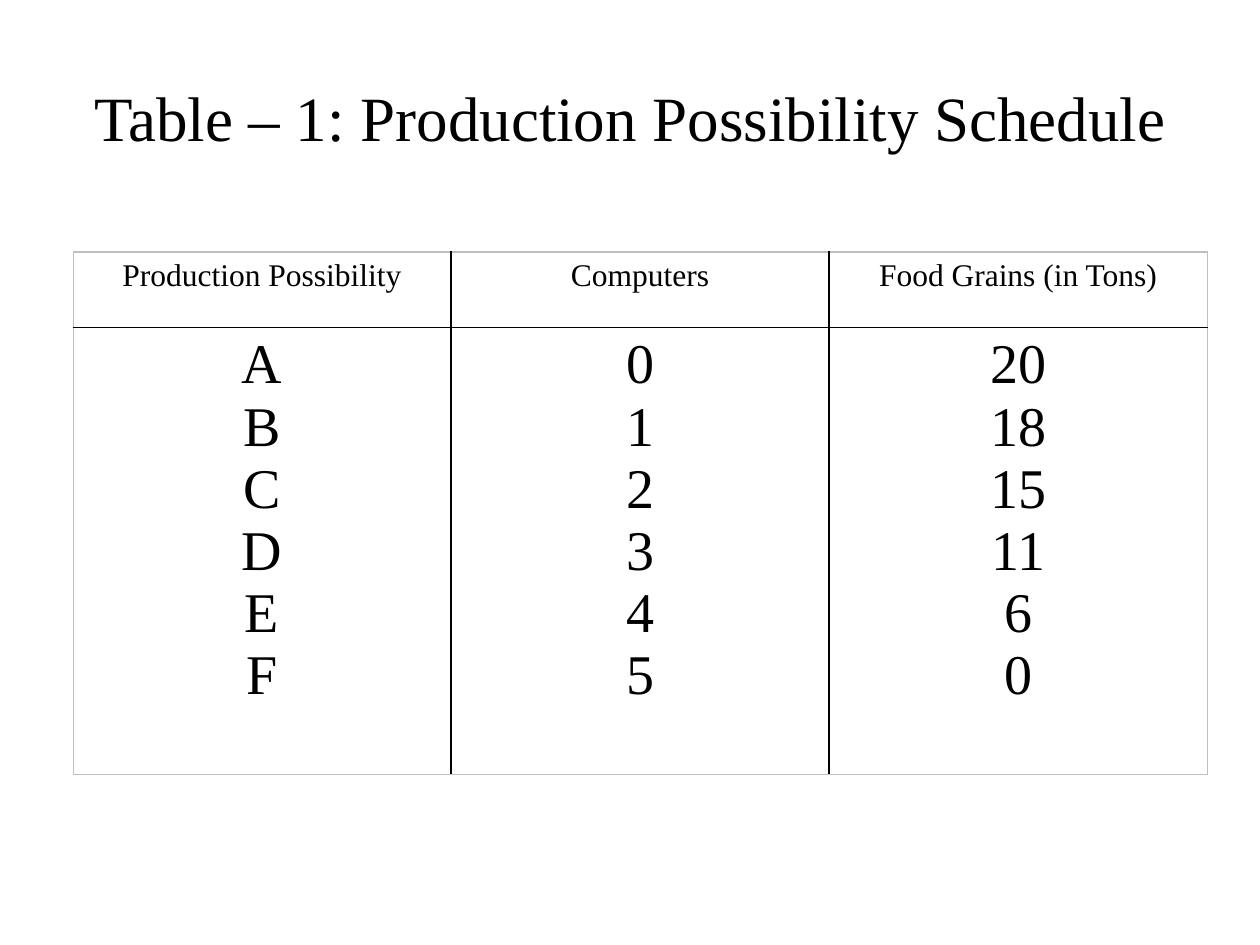
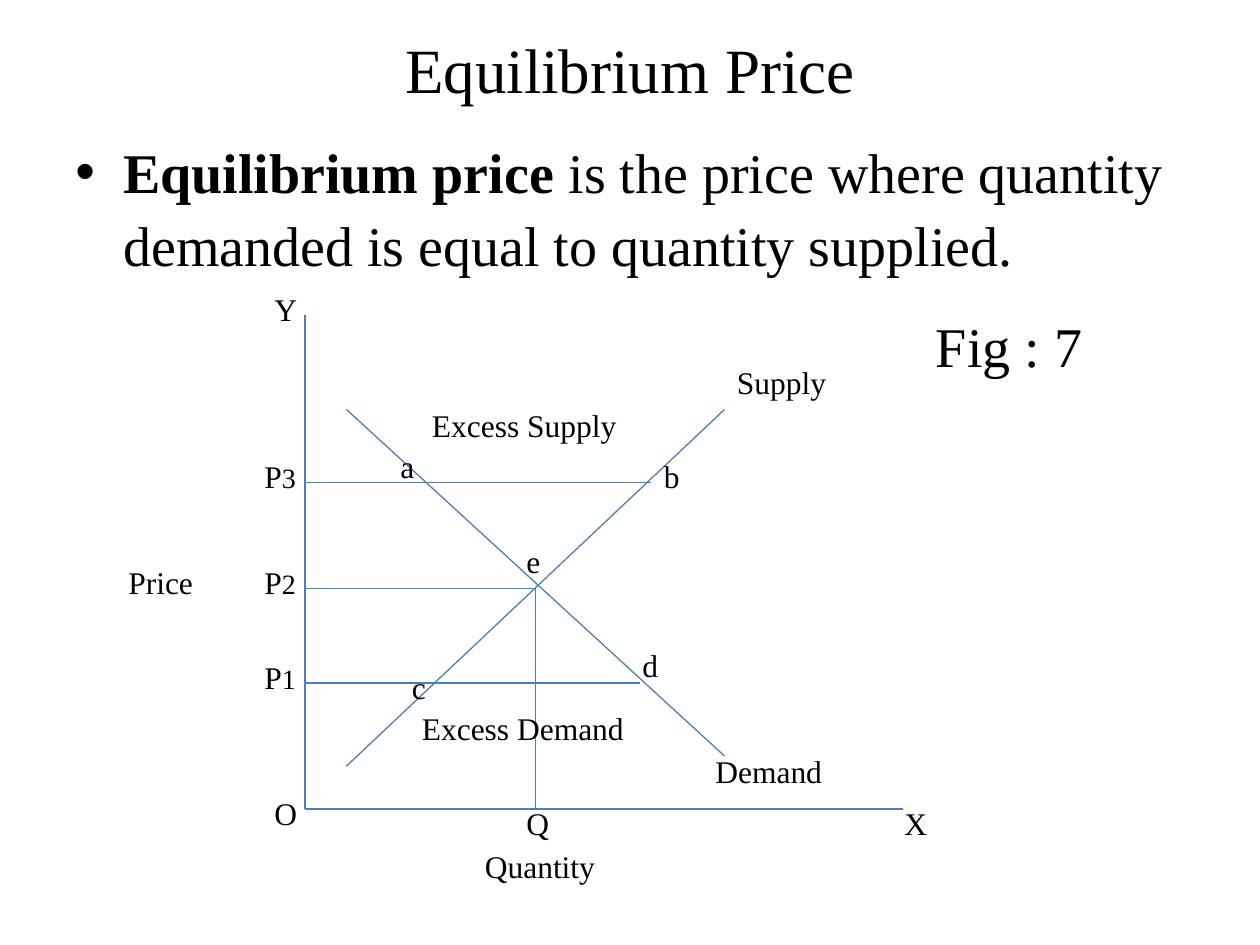
"""Build two economics slides: a production schedule and an equilibrium price diagram."""
import dataclasses
import pptx
import pptx.dml.color
import pptx.enum.text
import pptx.oxml.ns
import pptx.slide
import pptx.table
import pptx.text.text
import pptx.util
from lxml import etree
from pptx.enum.shapes import MSO_CONNECTOR

COLORS = {"ink": "000000", "line": "4B7EBC", "edge": "BFBFBF"}
FONT = "Times New Roman"
CENTER = pptx.enum.text.PP_ALIGN.CENTER
Inches = pptx.util.Inches


@dataclasses.dataclass
class Label:
    text: str
    left: float
    top: float
    width: float = 0.33
    sub: str = ""
    size: int = 18
    height: float = 0.4


@dataclasses.dataclass
class Line:
    x1: float
    y1: float
    x2: float
    y2: float


def style(run: pptx.text.text._Run, size: float, bold: bool = False) -> None:
    run.font.name = FONT
    run.font.size = pptx.util.Pt(size)
    run.font.bold = bold
    run.font.color.rgb = pptx.dml.color.RGBColor.from_string(COLORS["ink"])


def add_slide(deck, title: str, top: float, height: float) -> pptx.slide.Slide:
    slide = deck.slides.add_slide(deck.slide_layouts[5])
    head = slide.shapes.title
    head.left, head.top = Inches(0.5), Inches(top)
    head.width, head.height = Inches(9), Inches(height)
    frame = head.text_frame
    frame.text = title
    frame.vertical_anchor = pptx.enum.text.MSO_ANCHOR.MIDDLE
    frame.paragraphs[0].alignment = CENTER
    style(frame.paragraphs[0].runs[0], 36)
    return slide


def add_frame(slide: pptx.slide.Slide, left: float, top: float,
              width: float, height: float) -> pptx.text.text.TextFrame:
    box = slide.shapes.add_textbox(Inches(left), Inches(top), Inches(width), Inches(height))
    box.text_frame.word_wrap = True
    return box.text_frame


def add_label(slide: pptx.slide.Slide, label: Label) -> None:
    frame = add_frame(slide, label.left, label.top, label.width, label.height)
    frame.text = label.text
    par = frame.paragraphs[0]
    style(par.runs[0], label.size)
    if label.sub:
        run = par.add_run()
        run.text = label.sub
        style(run, 16)


def add_line(slide: pptx.slide.Slide, line: Line) -> None:
    ends = [Inches(n) for n in dataclasses.astuple(line)]
    shape = slide.shapes.add_connector(MSO_CONNECTOR.STRAIGHT, *ends)
    shape.line.width = pptx.util.Pt(0.75)
    shape.line.color.rgb = pptx.dml.color.RGBColor.from_string(COLORS["line"])
    etree.SubElement(shape._element.spPr, pptx.oxml.ns.qn("a:effectLst"))


def set_edges(cell: pptx.table._Cell, outer: dict[str, bool]) -> None:
    props = cell._tc.get_or_add_tcPr()
    for spot, (side, is_outer) in enumerate(outer.items()):
        edge = etree.Element(pptx.oxml.ns.qn(f"a:{side}"), w="9525" if is_outer else "12700")
        fill = etree.SubElement(edge, pptx.oxml.ns.qn("a:solidFill"))
        color = COLORS["edge" if is_outer else "ink"]
        etree.SubElement(fill, pptx.oxml.ns.qn("a:srgbClr"), val=color)
        props.insert(spot, edge)


def add_grid(slide: pptx.slide.Slide, rows: list[list[str]], heights: list[float],
             sizes: list[int]) -> None:
    count = len(rows[0])
    shape = slide.shapes.add_table(len(rows), count, Inches(0.58), Inches(2),
                                   Inches(9), Inches(sum(heights)))
    table = shape.table
    table.first_row = table.horz_banding = False
    for col in table.columns:
        col.width = Inches(9 / count)
    for y, row in enumerate(rows):
        table.rows[y].height = Inches(heights[y])
        for x, text in enumerate(row):
            cell = table.cell(y, x)
            cell.text_frame.text = text
            cell.fill.background()
            for par in cell.text_frame.paragraphs:
                par.alignment = CENTER
                style(par.runs[0], sizes[y])
            set_edges(cell, {"lnL": x == 0, "lnR": x == count - 1,
                             "lnT": y == 0, "lnB": y == len(rows) - 1})


def add_point(slide: pptx.slide.Slide, term: str, rest: str) -> None:
    frame = add_frame(slide, 0.5, 1, 9, 1.25)
    frame.text = term
    par = frame.paragraphs[0]
    par.line_spacing = 1.08
    par.space_before = pptx.util.Pt(6.4)
    style(par.runs[0], 32, True)
    run = par.add_run()
    run.text = rest
    style(run, 32)
    props = par._p.get_or_add_pPr()
    props.set("marL", str(Inches(0.38)))
    props.set("indent", str(Inches(-0.38)))
    etree.SubElement(props, pptx.oxml.ns.qn("a:buFont"), typeface="Arial")
    etree.SubElement(props, pptx.oxml.ns.qn("a:buChar"), char="•")


def add_schedule(deck) -> None:
    slide = add_slide(deck, "Table – 1: Production Possibility Schedule", 0.3, 1.25)
    heads = ["Production Possibility", "Computers", "Food Grains (in Tons)"]
    lists = [list("ABCDEF"), list("012345"), ["20", "18", "15", "11", "6", "0"]]
    add_grid(slide, [heads, ["\n".join(items) for items in lists]], [0.6, 3.55], [18, 32])


def add_market(deck) -> None:
    slide = add_slide(deck, "Equilibrium Price", 0, 1.08)
    add_point(slide, "Equilibrium price",
              " is the price where quantity demanded is equal to quantity supplied.")
    left, base, mid = 2.42, 6.42, 4.25
    prices = {"1": (5.42, 5.08), "2": (4.67, mid), "3": (3.83, 5.17)}
    lines = [
        Line(left, 2.5, left, base),
        Line(7.17, base, left, base),
        Line(5.75, 3.25, 2.75, 6.08),
        Line(2.75, 3.25, 5.75, 6),
        Line(mid, base, mid, prices["2"][0]),
    ]
    labels = [
        Label("Y", 2.08, 2.25),
        Label("X", 7.08, 6.33),
        Label("Q", 4.08, 6.33),
        Label("O", 2.08, 6.25),
        Label("Price", 0.92, 4.42, 0.83),
        Label("Quantity", 3.75, 6.67, 1.67),
        Label("Demand", 5.58, 5.92, 1.17),
        Label("Supply", 5.75, 2.83, 1.17),
        Label("Excess Supply", 3.33, 3.17, 1.92),
        Label("Excess Demand", 3.25, 5.58, 1.92),
        Label("a", 3.08, 3.5, 0.25),
        Label("b", 5.17, 3.58, 0.25),
        Label("c", 3.17, 5.25, 0.25),
        Label("d", 5, 5.08, 0.25),
        Label("e", 4.08, 4.25),
        Label("Fig : 7", 7.33, 2.42, 2, size=32, height=0.64),
    ]
    for sub, (level, end) in prices.items():
        lines.append(Line(left, level, end, level))
        labels.append(Label("P", 2, level - 0.25, 0.58, sub))
    for line in lines:
        add_line(slide, line)
    for label in labels:
        add_label(slide, label)


def main() -> None:
    deck = pptx.Presentation()
    deck.slide_width, deck.slide_height = Inches(10), Inches(7.5)
    add_schedule(deck)
    add_market(deck)
    deck.save("out.pptx")


main()
